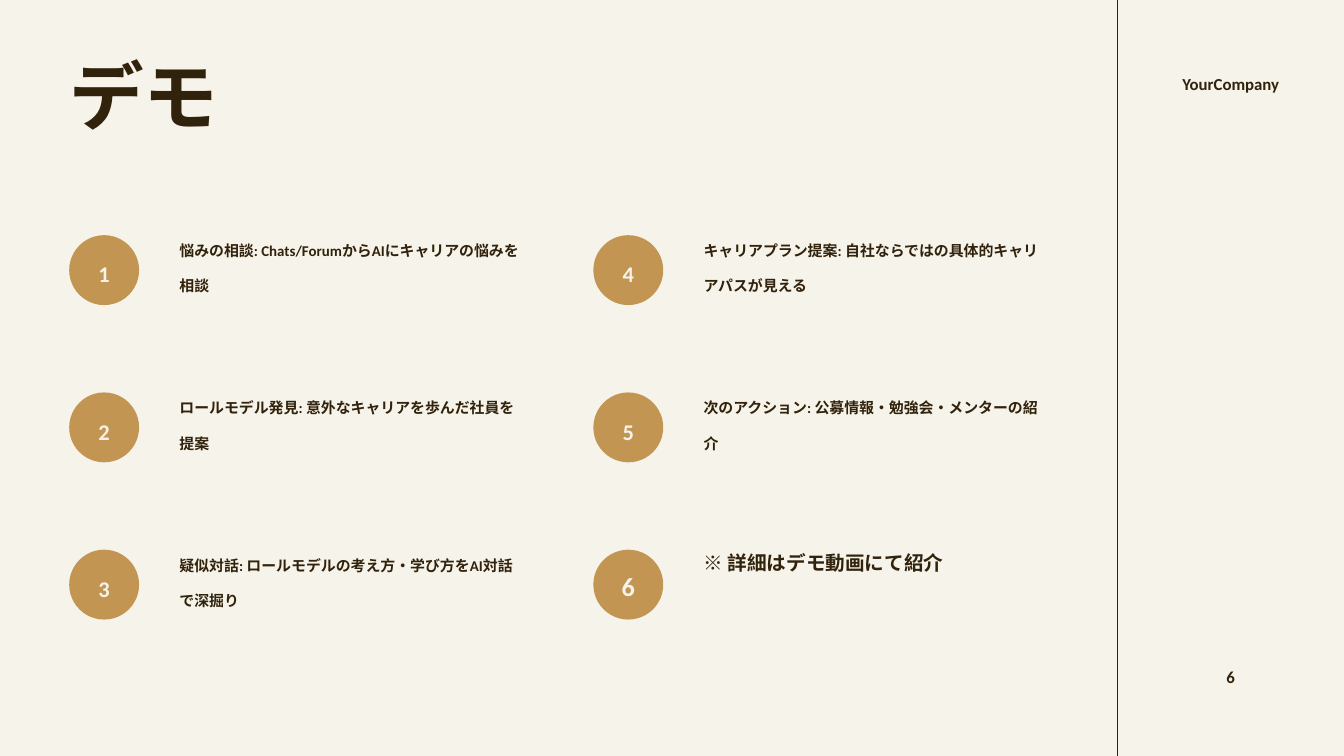
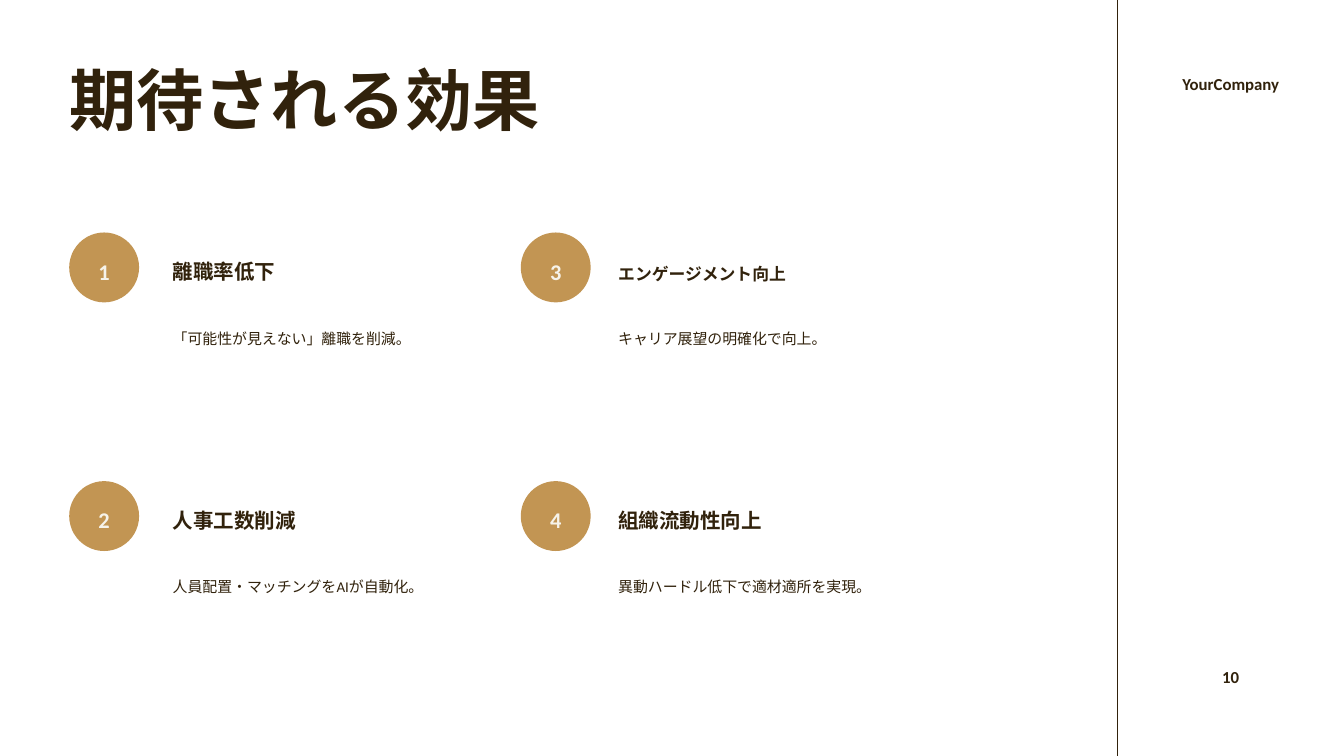
from dataclasses import dataclass

from lxml import etree
from pptx import Presentation
from pptx.dml.color import RGBColor
from pptx.enum.shapes import MSO_CONNECTOR, MSO_SHAPE
from pptx.enum.text import MSO_ANCHOR, MSO_AUTO_SIZE, PP_ALIGN
from pptx.oxml.ns import qn
from pptx.util import Inches, Pt

LEFT, CENTER = PP_ALIGN.LEFT, PP_ALIGN.CENTER
TOP = MSO_ANCHOR.TOP
GROW = MSO_AUTO_SIZE.SHAPE_TO_FIT_TEXT
OVAL = MSO_SHAPE.OVAL
STRAIGHT = MSO_CONNECTOR.STRAIGHT

COLORS = {"ink": "31220C", "cream": "F6F3EA", "gold": "C29553", "white": "FFFFFF"}
FONT = "Calibri"
SLIDE_WIDTH, SLIDE_HEIGHT = 20, 11.25
TITLE_ONLY_LAYOUT = 5
RULE_X = 16.63
BADGE_SIZE = 1.04


@dataclass(frozen=True)
class TextStyle:
    size: float
    line_pitch: float
    bold: bool = True
    color: str = "ink"
    align: PP_ALIGN = LEFT


@dataclass(frozen=True)
class Step:
    text: str
    size: float = 16
    badge_size: float = 24


@dataclass(frozen=True)
class Effect:
    heading: str
    body: str
    size: float = 22


@dataclass(frozen=True)
class EffectColumn:
    badge_left: float
    text_left: float
    text_width: float


SIDE_STYLE = TextStyle(18, 29.4, align=CENTER)
BODY_STYLE = TextStyle(16, 37.8, bold=False)

# Items run down the first column, then down the second
STEPS = [
    Step("悩みの相談: Chats/ForumからAIにキャリアの悩みを相談"),
    Step("ロールモデル発見: 意外なキャリアを歩んだ社員を提案"),
    Step("疑似対話: ロールモデルの考え方・学び方をAI対話で深掘り"),
    Step("キャリアプラン提案: 自社ならではの具体的キャリアパスが見える"),
    Step("次のアクション: 公募情報・勉強会・メンターの紹介"),
    Step("※ 詳細はデモ動画にて紹介", size=21, badge_size=28),
]
STEP_ROWS = 3
STEP_COLUMNS = [1.03, 8.83]

EFFECTS = [
    Effect("離職率低下", "「可能性が見えない」離職を削減。"),
    Effect("人事工数削減", "人員配置・マッチングをAIが自動化。"),
    Effect("エンゲージメント向上", "キャリア展望の明確化で向上。", size=18),
    Effect("組織流動性向上", "異動ハードル低下で適材適所を実現。"),
]
EFFECT_ROWS = 2
EFFECT_COLUMNS = [EffectColumn(1.03, 2.57, 4), EffectColumn(7.75, 9.2, 5.04)]


def rgb(name: str) -> RGBColor:
    return RGBColor.from_string(COLORS[name])


def write(box, text: str, style: TextStyle) -> None:
    """Fill a text shape with one paragraph, without insets."""
    frame = box.text_frame
    frame.margin_left = frame.margin_top = frame.margin_right = frame.margin_bottom = 0
    frame.word_wrap = True
    frame.auto_size = GROW
    frame.vertical_anchor = TOP
    para = frame.paragraphs[0]
    para.text = text
    para.alignment = style.align
    para.line_spacing = Pt(style.line_pitch)
    para.font.name = FONT
    para.font.size = Pt(style.size)
    para.font.bold = style.bold
    para.font.color.rgb = rgb(style.color)


def add_text(shapes, left: float, top: float, width: float, height: float,
             text: str, style: TextStyle) -> None:
    box = shapes.add_textbox(Inches(left), Inches(top), Inches(width), Inches(height))
    write(box, text, style)


def add_badge(page, left: float, top: float, number: int, size: float = 24) -> None:
    """Gold disc with its number."""
    group = page.shapes.add_group_shape()
    disc = group.shapes.add_shape(OVAL, Inches(left), Inches(top),
                                  Inches(BADGE_SIZE), Inches(BADGE_SIZE))
    disc.shadow.inherit = False
    disc.fill.solid()
    disc.fill.fore_color.rgb = rgb("gold")
    disc.line.fill.background()
    add_text(group.shapes, left + 0.29, top + 0.23, 0.46, 0.52, str(number),
             TextStyle(size, 39.2, color="cream", align=CENTER))


def add_page(deck, title: str, title_size: float, number: int, background: str):
    """Page with background, title, side rule, company name and page number."""
    page = deck.slides.add_slide(deck.slide_layouts[TITLE_ONLY_LAYOUT])
    page.background.fill.solid()
    page.background.fill.fore_color.rgb = rgb(background)

    rule = page.shapes.add_connector(STRAIGHT, Inches(RULE_X), Inches(0),
                                     Inches(RULE_X), Inches(SLIDE_HEIGHT))
    rule.line.color.rgb = rgb("ink")
    rule.line.width = Pt(0.75)
    etree.SubElement(rule._element.spPr, qn("a:effectLst"))

    heading = page.shapes.title
    heading.left, heading.top = Inches(1.03), Inches(1.18)
    heading.width, heading.height = Inches(9.75), Inches(1)
    write(heading, title, TextStyle(title_size, 64))

    add_text(page.shapes, 17.35, 9.81, 1.93, 0.4, str(number), SIDE_STYLE)
    add_text(page.shapes, 17.35, 0.99, 1.93, 0.81, "YourCompany", SIDE_STYLE)
    return page


def add_demo_page(deck) -> None:
    page = add_page(deck, "デモ", 80, 6, "cream")
    for index, step in enumerate(STEPS):
        column, row = divmod(index, STEP_ROWS)
        left, top = STEP_COLUMNS[column], 3.5 + 2.34 * row
        add_badge(page, left, top, index + 1, step.badge_size)
        add_text(page.shapes, left + 1.64, top - 0.16, 5.09, 1,
                 step.text, TextStyle(step.size, 37.8))


def add_effects_page(deck) -> None:
    page = add_page(deck, "期待される効果", 72, 10, "white")
    for index, effect in enumerate(EFFECTS):
        column_index, row = divmod(index, EFFECT_ROWS)
        column, top = EFFECT_COLUMNS[column_index], 3.46 + 3.7 * row
        add_badge(page, column.badge_left, top, index + 1)
        add_text(page.shapes, column.text_left, top + 0.22, column.text_width, 0.54,
                 effect.heading, TextStyle(effect.size, 39.2))
        add_text(page.shapes, column.text_left, top + 1.18, column.text_width, 1,
                 effect.body, BODY_STYLE)


def main() -> None:
    deck = Presentation()
    deck.slide_width, deck.slide_height = Inches(SLIDE_WIDTH), Inches(SLIDE_HEIGHT)
    add_demo_page(deck)
    add_effects_page(deck)
    deck.save("out.pptx")


if __name__ == "__main__":
    main()
